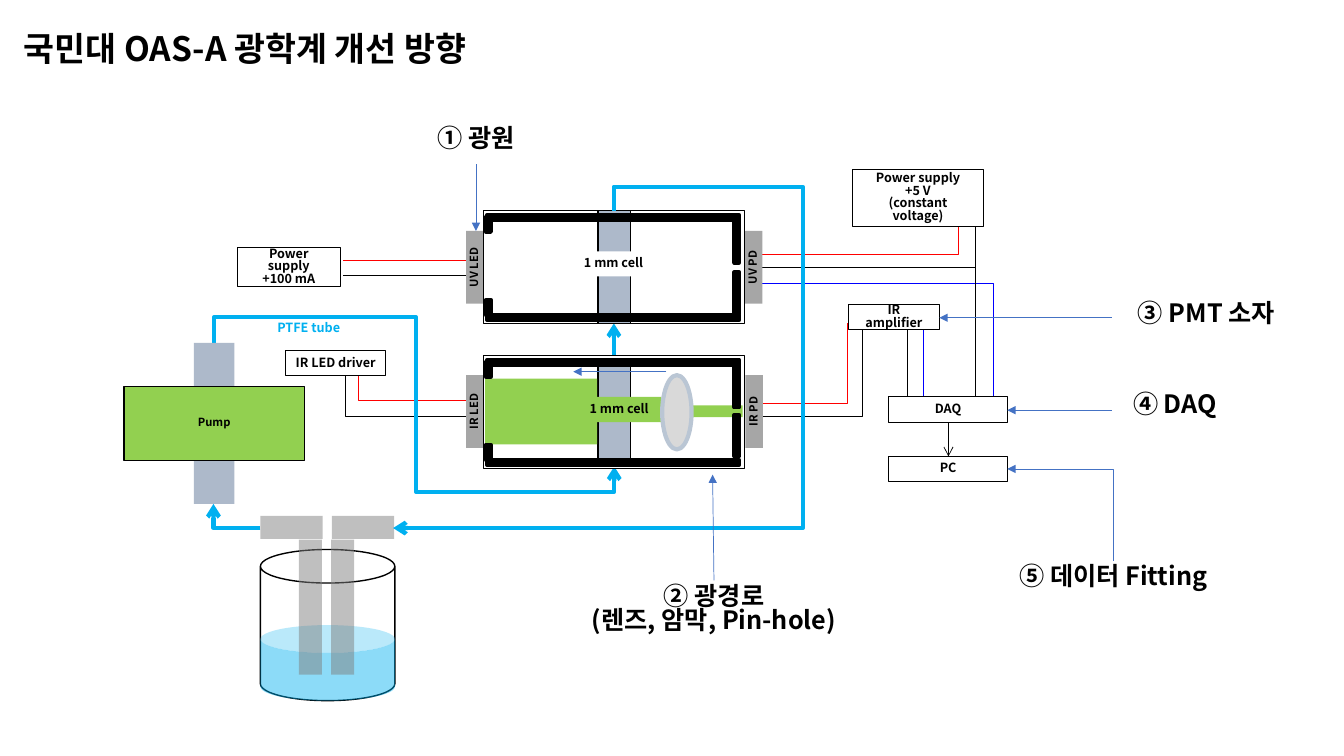
from lxml import etree
from pptx import Presentation
from pptx.dml.color import RGBColor
from pptx.enum.shapes import MSO_CONNECTOR, MSO_SHAPE
from pptx.enum.text import MSO_ANCHOR, PP_ALIGN
from pptx.oxml.ns import qn
from pptx.util import Pt

RECTANGLE, CAN, OVAL = MSO_SHAPE.RECTANGLE, MSO_SHAPE.CAN, MSO_SHAPE.OVAL
STRAIGHT, ELBOW = MSO_CONNECTOR.STRAIGHT, MSO_CONNECTOR.ELBOW
LEFT, CENTER = PP_ALIGN.LEFT, PP_ALIGN.CENTER
TOP, MIDDLE = MSO_ANCHOR.TOP, MSO_ANCHOR.MIDDLE

FONT = "Noto Sans CJK KR"
BLACK = RGBColor(0x00, 0x00, 0x00)
WHITE = RGBColor(0xFF, 0xFF, 0xFF)
RED = RGBColor(0xFF, 0x00, 0x00)
BLUE = RGBColor(0x00, 0x00, 0xFF)
CYAN = RGBColor(0x00, 0xB0, 0xF0)
GREEN = RGBColor(0x92, 0xD0, 0x50)
TUBE_GRAY = RGBColor(0xAD, 0xB9, 0xCA)
DEVICE_GRAY = RGBColor(0xA6, 0xA6, 0xA6)
PIPE_GRAY = RGBColor(0x80, 0x80, 0x80)
LENS_FILL = RGBColor(0xD9, 0xD9, 0xD9)
LENS_EDGE = RGBColor(0xBA, 0xC6, 0xD4)
POINTER_BLUE = RGBColor(0x44, 0x72, 0xC4)

CHAMBER_LEFT, CHAMBER_WIDTH, CHAMBER_HEIGHT = 345.5, 186.5, 80.5
UPPER_TOP, LOWER_TOP = 150.5, 254


def write(shape, text, size, color=BLACK, align=CENTER, anchor=MIDDLE,
          spacing=0.82, wrap=True):
    frame = shape.text_frame
    frame.text = text
    frame.word_wrap = wrap
    frame.vertical_anchor = anchor
    for paragraph in frame.paragraphs:
        paragraph.alignment = align
        paragraph.line_spacing = spacing
        for run in paragraph.runs:
            run.font.name = FONT
            run.font.size = Pt(size)
            run.font.bold = True
            run.font.color.rgb = color
            east_asian = etree.SubElement(run.font._element, qn("a:ea"))
            east_asian.set("typeface", FONT)


def add_label(slide, box, text, size, **style):
    shape = slide.shapes.add_textbox(*map(Pt, box))
    write(shape, text, size, **style)
    return shape


def add_block(slide, box, fill, edge=None, width=1, kind=RECTANGLE, alpha=None):
    shape = slide.shapes.add_shape(kind, *map(Pt, box))
    shape.shadow.inherit = False
    shape.fill.solid()
    shape.fill.fore_color.rgb = fill
    if alpha:
        color = shape.fill._xPr.find(".//" + qn("a:srgbClr"))
        etree.SubElement(color, qn("a:alpha")).set("val", str(alpha * 1000))
    if edge is None:
        shape.line.fill.background()
    else:
        shape.line.color.rgb = edge
        shape.line.width = Pt(width)
    return shape


def add_unit(slide, box, text):
    write(add_block(slide, box, WHITE, BLACK, 0.75), text, 9)


def add_line(slide, start, end, color, width=0.5, tail=None, kind=STRAIGHT):
    connector = slide.shapes.add_connector(kind, *map(Pt, start + end))
    connector.line.color.rgb = color
    connector.line.width = Pt(width)
    if tail:
        line = connector.line._get_or_add_ln()
        etree.SubElement(line, qn("a:tailEnd")).set("type", tail)
    etree.SubElement(connector._element.spPr, qn("a:effectLst"))
    return connector


def add_elbow(slide, start, end, color, bends, width=0.5, tail=None, rotation=0):
    """Bent line; bends are the positions of its inner legs, as fractions."""
    connector = add_line(slide, start, end, color, width, tail, ELBOW)
    properties = connector._element.spPr
    geometry = properties.find(qn("a:prstGeom"))
    geometry.set("prst", f"bentConnector{len(bends) + 2}")
    guides = geometry.find(qn("a:avLst"))
    for number, bend in enumerate(bends, 1):
        guide = etree.SubElement(guides, qn("a:gd"))
        guide.set("name", f"adj{number}")
        guide.set("fmla", f"val {round(bend * 100000)}")
    if rotation:
        properties.find(qn("a:xfrm")).set("rot", str(rotation * 60000))


def add_device(slide, left, top, text):
    """Grey LED or detector with its name running upwards."""
    add_block(slide, (left, top, 12.5, 52), DEVICE_GRAY)
    label = add_label(slide, (left - 15.5, top + 17.5, 43.5, 17), text, 8, wrap=False)
    label.rotation = 270


def add_chamber(slide, top, tube_inset):
    add_block(slide, (CHAMBER_LEFT, top, CHAMBER_WIDTH, CHAMBER_HEIGHT), WHITE, BLACK)
    add_block(slide, (427, top + tube_inset, 23.5, CHAMBER_HEIGHT - 2 * tube_inset),
              TUBE_GRAY, BLACK)


def add_walls(slide, top, below_pinhole):
    walls = [(348, 3, 180, 3.6), (348, 74.5, 180, 3.6),
             (524.5, 7.5, 3.6, 29.5), (524.5, below_pinhole, 3.6, 29.5),
             (347, 4.3, 3.6, 10.8), (347, 63.7, 3.6, 10.8)]
    for left, offset, width, height in walls:
        add_block(slide, (left, top + offset, width, height), BLACK, BLACK, 3)


def add_wiring(slide):
    for start, end, color, bend in [
            ((538.5, 288), (605.5, 231), RED, 0.996),
            ((538.5, 297.5), (618, 231), BLACK, 0.975),
            ((528, 181.5), (683, 135.5), RED, 1.012),
            ((528.5, 191), (697, 145.5), BLACK, 1),
            ((528, 202.5), (708.5, 290), BLUE, 1.004),
            ((363, 286), (256, 265.5), RED, 0.998),
            ((374.5, 297.5), (266.5, 265.5), BLACK, 1.18)]:
        add_elbow(slide, start, end, color, [bend])
    for start, end, color in [
            ((697, 145.5), (697, 296), BLACK),
            ((245, 186), (344, 186), RED),
            ((245, 196.5), (344, 196.5), BLACK),
            ((648, 233), (648, 286.5), BLACK),
            ((659.5, 233), (659.5, 286.5), BLUE)]:
        add_line(slide, start, end, color)
    add_line(slide, (677.5, 301.5), (677.5, 326), BLACK, tail="arrow")


def add_pump_and_bottle(slide):
    add_block(slide, (138.5, 245, 29, 115), TUBE_GRAY)
    write(add_block(slide, (88.5, 276, 129, 53), GREEN, BLACK), "Pump", 8)
    add_block(slide, (186, 392.5, 96, 108), WHITE, BLACK, kind=CAN)
    water = add_block(slide, (186, 446.5, 96, 54), CYAN, kind=CAN, alpha=45)
    water.adjustments[0] = 0.368
    for arm_left, leg_left in ((186, 213.5), (237, 236.5)):
        add_block(slide, (arm_left, 368.5, 44.5, 16.5), PIPE_GRAY, alpha=50)
        add_block(slide, (leg_left, 385.5, 16.5, 96.5), PIPE_GRAY, alpha=50)


def add_callouts(slide):
    for box, text in [
            ((286.5, 88, 107.5, 29), "① 광원"),
            ((400.5, 414.5, 219, 51), "② 광경로\n(렌즈, 암막, Pin-hole)"),
            ((794, 212.5, 135.5, 29), "③ PMT 소자"),
            ((794, 278, 90.5, 29), "④ DAQ"),
            ((703.5, 400.5, 183.5, 29), "⑤ 데이터 Fitting")]:
        add_label(slide, box, text, 18, anchor=TOP)
    for start, end in [
            ((340, 117.5), (340, 165)),
            ((510, 414.5), (509, 339)),
            ((794, 227), (671, 227)),
            ((794, 293), (719.5, 293)),
            ((476, 265.5), (409.5, 265.5))]:
        add_line(slide, start, end, POINTER_BLUE, tail="triangle")
    add_elbow(slide, (724.5, 405.5), (790, 330), POINTER_BLUE, [],
              tail="triangle", rotation=270)


def main():
    presentation = Presentation()
    presentation.slide_width, presentation.slide_height = Pt(960), Pt(540)
    slide = presentation.slides.add_slide(presentation.slide_layouts[6])

    add_label(slide, (10, 8, 376, 45.5), "국민대 OAS-A 광학계 개선 방향", 24,
              align=LEFT, spacing=1.23)
    add_wiring(slide)

    # Tubing around the pump and between the cells
    add_elbow(slide, (340, 146), (251.5, 432), CYAN, [-0.204, 0.505, 1.204],
              3, "arrow", 270)
    add_pump_and_bottle(slide)
    add_line(slide, (438.5, 254), (438.5, 231), CYAN, 3, "arrow")
    add_elbow(slide, (186, 377), (152.5, 360), CYAN, [], 3, "arrow")
    add_label(slide, (191, 227, 75.5, 24.5), "PTFE tube", 9, color=CYAN,
              align=LEFT, anchor=TOP, wrap=False)

    # Light sources and detectors
    add_device(slide, 333, 165, "UV LED")
    add_device(slide, 532, 165, "UV PD")
    add_device(slide, 333, 268, "IR LED")
    add_device(slide, 532.5, 268, "IR PD")

    # Upper and lower optical chambers
    add_chamber(slide, LOWER_TOP, 3)
    add_chamber(slide, UPPER_TOP, 0)
    write(add_block(slide, (409.5, 179.5, 57.5, 18), WHITE), "1 mm cell", 9, wrap=False)
    add_elbow(slide, (473, 342.5), (246.2, 185), CYAN, [-0.075, -0.858],
              3, "arrow", 270)
    add_block(slide, (346.5, 270.5, 80, 47), GREEN)
    add_block(slide, (494, 289.5, 36.5, 8.5), GREEN)
    add_walls(slide, LOWER_TOP, 42.5)
    add_walls(slide, UPPER_TOP, 44)

    # Electronics
    for box, text in [
            ((204, 247.5 + 3, 71.5, 18), "IR LED driver"),
            ((635, 326, 84.5, 18), "PC"),
            ((635, 283.5, 84.5, 18), "DAQ"),
            ((169.5, 176.5, 73.5, 28.5), "Power supply\n+100 mA"),
            ((609, 121, 93.5, 40.5), "Power supply\n+5 V\n(constant voltage)"),
            ((606, 217.5, 65, 18), "IR amplifier")]:
        add_unit(slide, box, text)

    add_callouts(slide)

    # Cell and lens in front of the beam
    write(add_block(slide, (412, 283.5, 60.5, 18), GREEN), "1 mm cell", 9, wrap=False)
    add_block(slide, (473, 268, 21, 53), LENS_FILL, LENS_EDGE, 3, OVAL)

    presentation.save("out.pptx")


if __name__ == "__main__":
    main()
